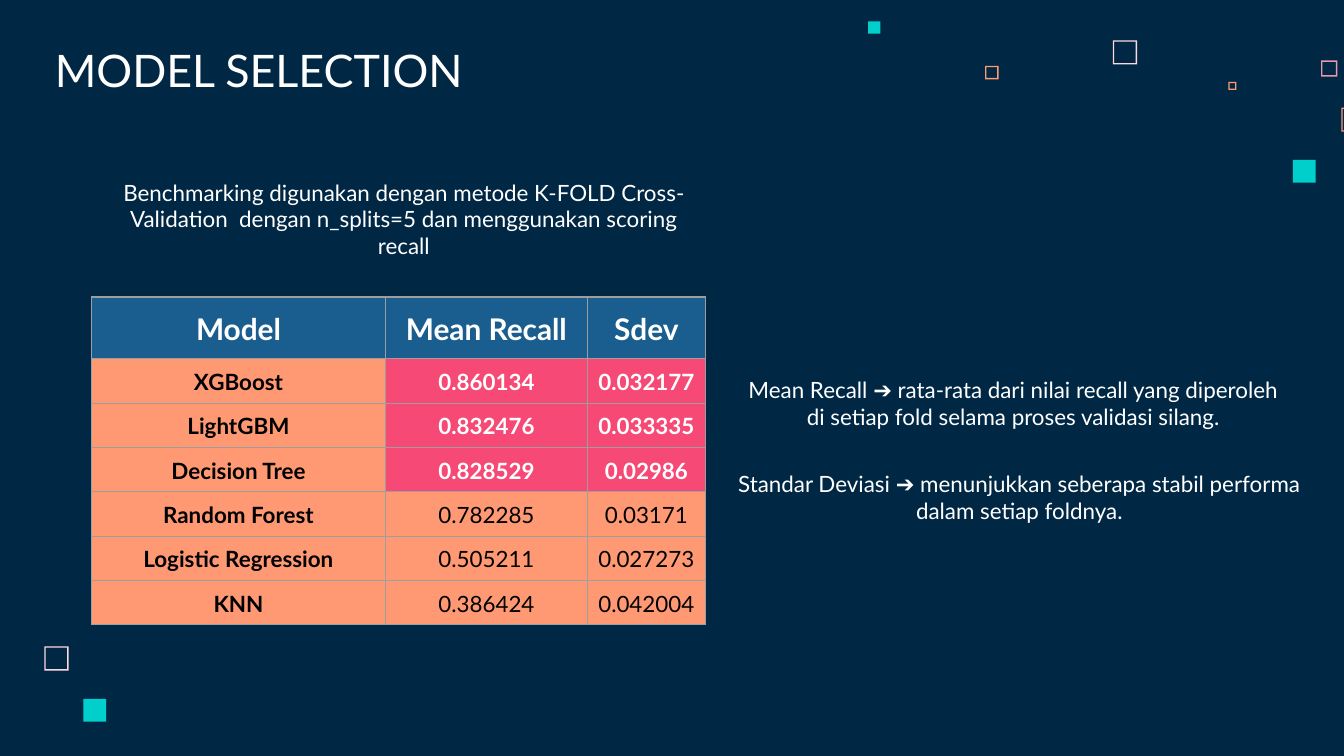
from lxml import etree
from pptx import Presentation
from pptx.dml.color import RGBColor
from pptx.enum.shapes import MSO_SHAPE
from pptx.enum.text import MSO_ANCHOR, PP_ALIGN
from pptx.oxml.ns import qn
from pptx.util import Inches, Pt

FRAME, RECT = MSO_SHAPE.FRAME, MSO_SHAPE.RECTANGLE
CENTER = PP_ALIGN.CENTER
BOTTOM, MIDDLE = MSO_ANCHOR.BOTTOM, MSO_ANCHOR.MIDDLE

FONT = "Lato"
NAVY, BLUE, WHITE, BLACK = "002845", "1A5E8F", "FFFFFF", "000000"
ORANGE, PINK, TEAL = "FF9973", "F64975", "00CFCC"
BLUSH, ROSE, GRAY = "FFD6E1", "E898AC", "9E9E9E"

TOP_SQUARES = [
    (1.82, 0.14, 0.18, BLUSH, 0.01),
    (3.37, 0.29, 0.12, ROSE, 0.01),
    (2.68, 0.45, 0.06, ORANGE, 0.01),
    (3.52, 0.64, 0.18, ORANGE, 0.01),
    (3.16, 1.03, 0.17, TEAL, 0),
    (0.87, 0.33, 0.1, ORANGE, 0.01),
    (0, 0, 0.09, TEAL, 0),
]
BOTTOM_SQUARES = [
    (0, 0, 0.18, BLUSH, 0.01),
    (0.29, 0.39, 0.17, TEAL, 0),
]
HEADERS = ["Model", "Mean Recall", "Sdev"]
SCORES = [
    ("XGBoost", "0.860134", "0.032177"),
    ("LightGBM", "0.832476", "0.033335"),
    ("Decision Tree", "0.828529", "0.02986"),
    ("Random Forest", "0.782285", "0.03171"),
    ("Logistic Regression", "0.505211", "0.027273"),
    ("KNN", "0.386424", "0.042004"),
]
BEST_COUNT = 3
COL_WIDTHS = [2.19, 1.5, 0.88]
HEADER_HEIGHT, ROW_HEIGHT = 0.46, 0.33


def rgb(value):
    return RGBColor.from_string(value)


def write_text(tf, text, size=12, color=WHITE, bold=False):
    p = tf.paragraphs[0]
    p.alignment = CENTER
    r = p.add_run()
    r.text = text
    r.font.name = FONT
    r.font.size = Pt(size)
    r.font.bold = bold
    r.font.color.rgb = rgb(color)


def add_text(s, text, x, y, w, h=0.82, **fmt):
    tf = s.shapes.add_textbox(Inches(x), Inches(y), Inches(w), Inches(h)).text_frame
    tf.word_wrap = True
    tf.vertical_anchor = BOTTOM
    tf.margin_left = tf.margin_right = tf.margin_top = tf.margin_bottom = Inches(0.1)
    write_text(tf, text, **fmt)


def add_squares(s, x, y, squares):
    for dx, dy, size, color, border in squares:
        sp = s.shapes.add_shape(FRAME if border else RECT, Inches(x + dx),
                                Inches(y + dy), Inches(size), Inches(size))
        if border:
            sp.adjustments[0] = border / size
        sp.shadow.inherit = False
        sp.fill.solid()
        sp.fill.fore_color.rgb = rgb(color)
        sp.line.fill.background()


def set_borders(cell):
    tc_pr = cell._tc.get_or_add_tcPr()
    for i, side in enumerate(("a:lnL", "a:lnR", "a:lnT", "a:lnB")):
        ln = etree.Element(qn(side), w=str(Pt(0.75)))
        fill = etree.SubElement(ln, qn("a:solidFill"))
        etree.SubElement(fill, qn("a:srgbClr"), val=GRAY)
        tc_pr.insert(i, ln)


def format_cell(cell, text, fill, **fmt):
    cell.margin_left = cell.margin_right = cell.margin_top = Inches(0.01)
    cell.margin_bottom = 0
    cell.vertical_anchor = MIDDLE
    cell.fill.solid()
    cell.fill.fore_color.rgb = rgb(fill)
    set_borders(cell)
    write_text(cell.text_frame, text, **fmt)


def add_score_table(s, x, y):
    heights = [HEADER_HEIGHT] + [ROW_HEIGHT] * len(SCORES)
    table = s.shapes.add_table(len(heights), len(COL_WIDTHS), Inches(x), Inches(y),
                               Inches(sum(COL_WIDTHS)), Inches(sum(heights))).table
    for column, width in zip(table.columns, COL_WIDTHS):
        column.width = Inches(width)
    for row, height in zip(table.rows, heights):
        row.height = Inches(height)
    for c, header in enumerate(HEADERS):
        format_cell(table.cell(0, c), header, BLUE, size=16, bold=True)
    for r, score in enumerate(SCORES, 1):
        for c, value in enumerate(score):
            best = c > 0 and r <= BEST_COUNT
            format_cell(table.cell(r, c), value, PINK if best else ORANGE,
                        color=WHITE if best else BLACK, bold=best or c == 0)


def add_explanations(s, x, y):
    add_text(s, "Mean Recall ➔ rata-rata dari nilai recall yang diperoleh "
                "di setiap fold selama proses validasi silang.", x, y, 4.3)
    add_text(s, "Standar Deviasi ➔ menunjukkan seberapa stabil performa "
                "dalam setiap foldnya.", x, y + 0.7, 4.39)


def main():
    prs = Presentation()
    prs.slide_width = Inches(10)
    prs.slide_height = prs.slide_width * 9 // 16
    s = prs.slides.add_slide(prs.slide_layouts[6])
    s.background.fill.solid()
    s.background.fill.fore_color.rgb = rgb(NAVY)
    add_squares(s, 6.46, 0.16, TOP_SQUARES)
    add_squares(s, 0.33, 4.81, BOTTOM_SQUARES)
    add_text(s, "MODEL SELECTION", -0.4, 0, 4.65, size=24)
    add_text(s, "Benchmarking digunakan dengan metode K-FOLD Cross-Validation  "
                "dengan n_splits=5 dan menggunakan scoring recall", 0.68, 1.21, 4.65)
    add_score_table(s, 0.68, 2.21)
    add_explanations(s, 5.39, 2.48)
    prs.save("out.pptx")


if __name__ == "__main__":
    main()
